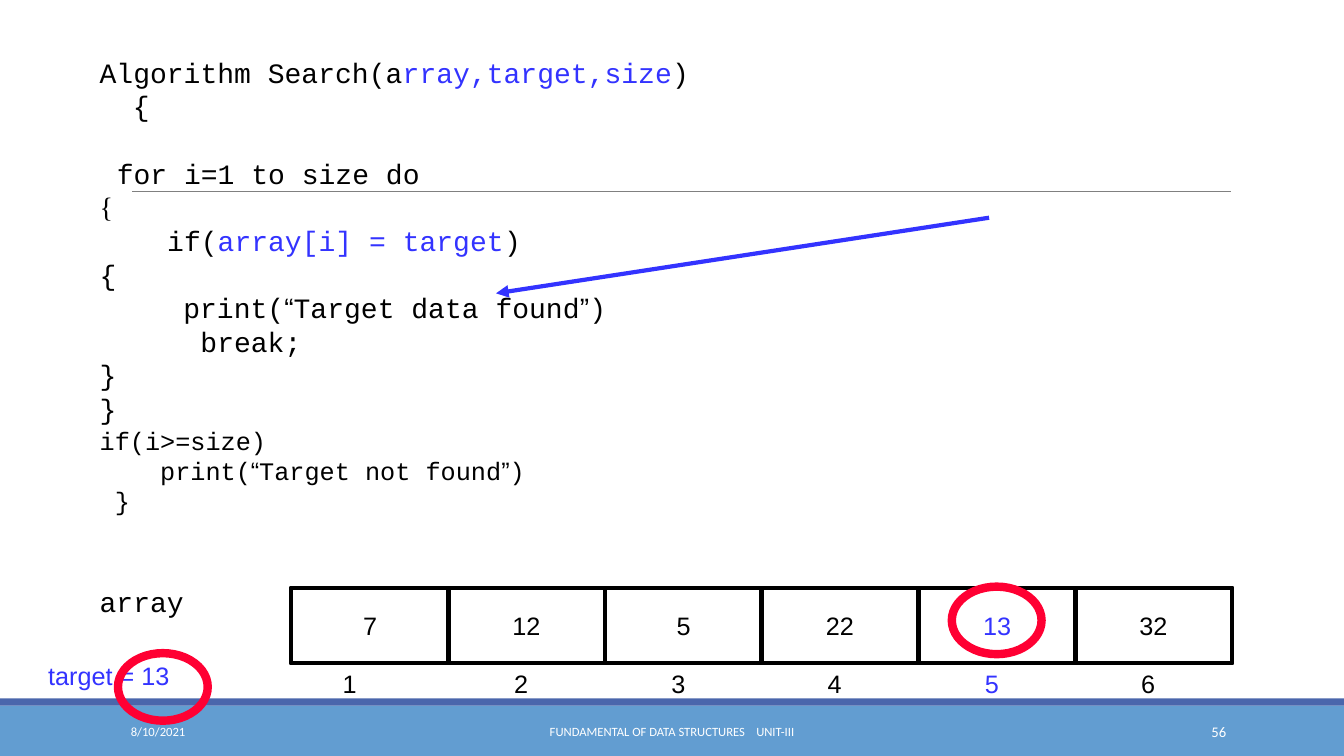
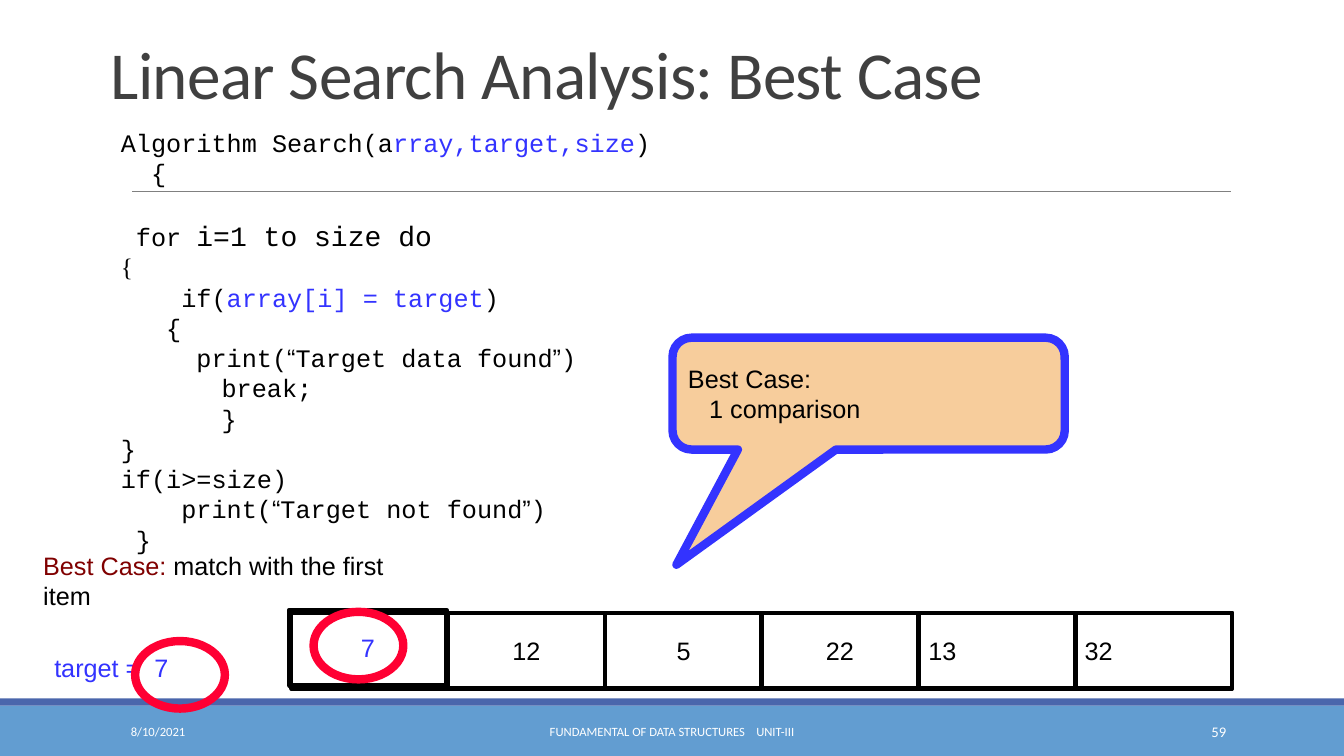
from pptx import Presentation, util as u
from pptx.dml.color import RGBColor
from pptx.enum import shapes as sh, text as tx
from pptx.oxml.ns import qn
from lxml import etree

BLACK, WHITE, BLUE, RED = "000000", "FFFFFF", "3333FF", "FF0033"
MARK = {"color": BLUE}
QUOTE = {"name": "Arial"}
LEFT, MID, RIGHT = tx.PP_ALIGN.LEFT, tx.PP_ALIGN.CENTER, tx.PP_ALIGN.RIGHT
TOP, CORE, BASE = tx.MSO_ANCHOR.TOP, tx.MSO_ANCHOR.MIDDLE, tx.MSO_ANCHOR.BOTTOM
BOX, RING = sh.MSO_SHAPE.RECTANGLE, sh.MSO_SHAPE.OVAL
CALL = sh.MSO_SHAPE.ROUNDED_RECTANGULAR_CALLOUT


def px(n):
    """Turn px, a hundred to the inch, into EMU."""
    return u.Emu(round(n * 9144))


def rgb(code):
    """Turn a hex string into a colour."""
    return RGBColor.from_string(code)


def said(words):
    """Give the runs of a print call with its curly quotes."""
    return [("print(", {}), ("“", QUOTE), (words, {}), ("”", QUOTE), (")", {})]


CODE = [
    [("Algorithm Search(a", {}), ("rray,target,size", MARK), (")", {})],
    "{",
    [("for ", {}), ("i=1 to size do", {"size": 20})],
    [("{", {"name": "Times New Roman"})],
    [("if(", {}), ("array[i] = target", MARK), (")", {})],
    "{",
    said("Target data found"),
    "break;",
    "}",
    "}",
    "if(i>=size)",
    said("Target not found"),
    "}",
]


class Deck:
    """Holds the style and the current slide."""

    font = {"name": "Arial", "size": 18, "color": BLACK}
    mono = {"name": "Courier New"}
    foot = {"name": "Calibri", "size": 9, "color": WHITE}
    head = {"name": "Calibri", "size": 48, "color": "404040", "spc": -50}

    def __init__(self):
        """Start an empty wide deck."""
        self.prs = Presentation()
        self.prs.slide_width, self.prs.slide_height = px(1333), px(750)

    def page(self, num):
        """Add a slide with its bands, rule and footer."""
        self.slide = self.prs.slides.add_slide(self.prs.slide_layouts[6])
        self.shape(BOX, (0, 700, 1333, 50), fill="629DD1")
        self.shape(BOX, (0, 693, 1333, 7), fill="4A66AC")
        self.line((131, 190), (1221, 190), "808080", 0.5)
        name = [("FUNDAMENTAL OF DATA STRUCTURES", {}), (" ", {"spc": 610}), ("UNIT-III", {})]
        self.text((120, 706, 270, 40), ["8/10/2021"], self.foot, anchor=CORE)
        self.text((403, 706, 527, 40), [name], self.foot, anchor=CORE, align=MID)
        self.text((1083, 706, 143, 40), [str(num)], {**self.foot, "size": 10.5},
                  anchor=CORE, align=RIGHT)

    def runs(self, para, parts, base):
        """Write the runs of one paragraph."""
        for words, own in [(parts, {})] if isinstance(parts, str) else parts:
            run = para.add_run()
            run.text = words
            look = {**self.font, **base, **own}
            run.font.color.rgb = rgb(look["color"])
            for key, val in {"name": look["name"], "size": u.Pt(look["size"])}.items():
                setattr(run.font, key, val)
            if "spc" in look:
                run.font._element.set("spc", str(look["spc"]))

    def fill(self, frame, lines, base, anchor, align, wrap=True):
        """Write paragraphs into a text frame."""
        frame.word_wrap, frame.vertical_anchor = wrap, anchor
        for i, parts in enumerate(lines):
            para = frame.add_paragraph() if i else frame.paragraphs[0]
            para.alignment = align
            self.runs(para, parts, base)
        return frame.paragraphs

    def text(self, at, lines, base={}, anchor=TOP, align=LEFT, wrap=True):
        """Add a text box and give its paragraphs."""
        box = self.slide.shapes.add_textbox(*map(px, at))
        return self.fill(box.text_frame, lines, base, anchor, align, wrap)

    def shape(self, kind, at, fill=None, line=None, width=3):
        """Add a preset shape."""
        item = self.slide.shapes.add_shape(kind, *map(px, at))
        item.shadow.inherit = False
        if fill:
            item.fill.solid()
            item.fill.fore_color.rgb = rgb(fill)
        else:
            item.fill.background()
        if line:
            item.line.color.rgb = rgb(line)
            item.line.width = u.Pt(width)
        else:
            item.line.fill.background()
        return item

    def line(self, start, end, color, width, tip=False):
        """Add a straight line, with an arrowhead if asked."""
        item = self.slide.shapes.add_connector(
            sh.MSO_CONNECTOR.STRAIGHT, *map(px, start + end))
        item.line.color.rgb = rgb(color)
        item.line.width = u.Pt(width)
        if tip:
            etree.SubElement(item.line._get_or_add_ln(), qn("a:tailEnd"), type="triangle")
        etree.SubElement(item._element.spPr, qn("a:effectLst"))

    def title(self, words):
        """Add the slide title."""
        para = self.text((100, 17, 1133, 100), [words], self.head, anchor=BASE)[0]
        para.line_spacing = 0.85

    def code(self, at, sizes, dents, gap):
        """Add the algorithm, with a size and an indent for each line."""
        paras = self.text(at, CODE, self.mono)
        for para, size, dent in zip(paras, sizes, dents):
            para._p.get_or_add_pPr().set("marL", str(px(dent)))
            for run in para.runs:
                run.font.size = max(u.Pt(size), run.font.size)
        paras[2].space_before = u.Pt(gap)

    def cell(self, at, word, color=BLACK, align=MID):
        """Add one cell of the array."""
        item = self.shape(BOX, at, line=BLACK)
        self.fill(item.text_frame, [word], {"color": color}, CORE, align)

    def ring(self, left, top):
        """Add a red ring."""
        self.shape(RING, (left, top, 89, 67), line=RED, width=6)

    def call(self, at, lines, dent):
        """Add the speech callout with its second line indented."""
        item = self.shape(CALL, at, "F7CD9C", BLUE, 6)
        for i, val in enumerate((-0.49, 1.53, 0.17)):
            item.adjustments[i] = val
        paras = self.fill(item.text_frame, lines, {}, CORE, LEFT)
        paras[1]._p.get_or_add_pPr().set("marL", str(px(dent)))


def main():
    """Build both slides and save them."""
    deck = Deck()
    items = ["7", "12", "5", "22", "13", "32"]
    lefts = [289 + i * 933 // 6 for i in range(6)]

    deck.page(56)
    deck.code((89, 50, 1160, 502), [20] * 10 + [18] * 3,
              [0, 33, 17, 0, 67, 0, 83, 100, 0, 0, 0, 60, 15], 24)
    deck.shape(BOX, (289, 583, 933, 75), line=BLACK)
    deck.text((89, 575, 104, 44), ["array"], {**deck.mono, "size": 20}, wrap=False)
    for i, (left, item) in enumerate(zip(lefts, items)):
        color = BLUE if item == "13" else BLACK
        deck.cell((left, 583, 156, 75), item, color)
        deck.text((left + 56 if i else 330, 658, 34, 40), [str(i + 1)],
                  {"color": color}, wrap=False)
    deck.text((38, 650, 142, 40), ["target = 13"], MARK, wrap=False)
    deck.ring(117, 648)
    deck.ring(944, 582)
    deck.line((981, 216), (492, 291), BLUE, 3, tip=True)

    deck.page(59)
    deck.title("Linear Search Analysis: Best Case")
    note = [("Best Case: ", {"color": "800000"}), ("match with the first item", {})]
    deck.text((33, 541, 385, 40), [note])
    deck.shape(BOX, (289, 608, 933, 75), line=BLACK)
    deck.cell((287, 605, 156, 75), items[0], BLUE)
    for left, item in zip(lefts[1:], items[1:]):
        deck.cell((left, 608, 156, 75), item, align=LEFT if left > 900 else MID)
    goal = [("target =", {}), (" ", {"spc": 500}), ("7", {})]
    deck.text((44, 642, 134, 40), [goal], MARK, wrap=False)
    deck.ring(134, 636)
    deck.ring(311, 607)
    deck.call((667, 335, 389, 111), ["Best Case:", "1 comparison"], 21)
    deck.code((110, 121, 667, 464), [18] * 13,
              [0, 30, 15, 0, 60, 45, 75, 100, 100, 0, 0, 60, 15], 22)
    deck.prs.save("out.pptx")


if __name__ == "__main__":
    main()
